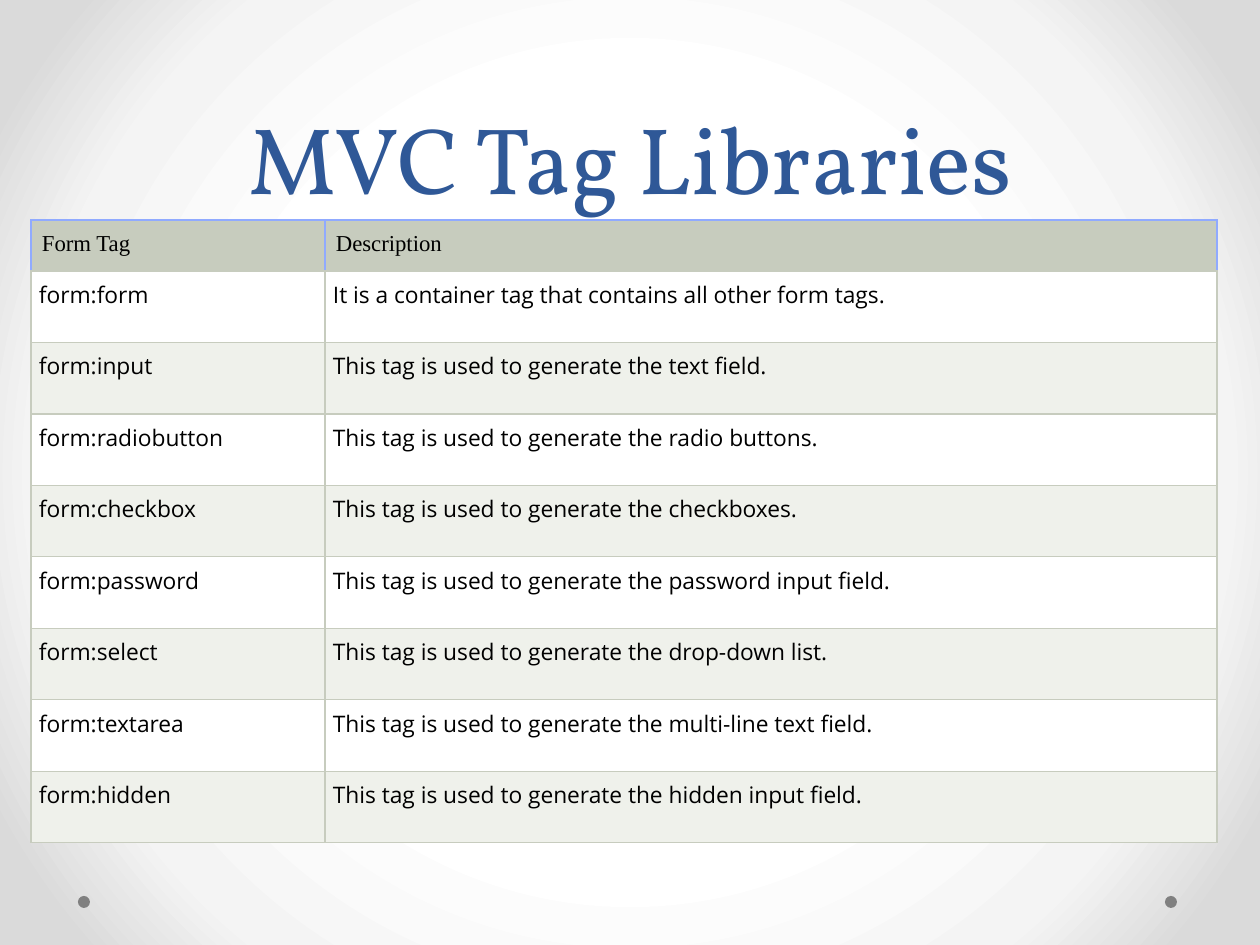
from lxml import etree
from pptx import Presentation
from pptx.dml.color import RGBColor
from pptx.enum.shapes import MSO_SHAPE
from pptx.enum.text import MSO_ANCHOR, PP_ALIGN
from pptx.oxml import parse_xml
from pptx.oxml.ns import qn
from pptx.util import Emu, Pt

ELLIPSE = MSO_SHAPE.OVAL
BOTTOM = MSO_ANCHOR.BOTTOM
CENTER = PP_ALIGN.CENTER
LEFT = PP_ALIGN.LEFT
NAMESPACE = 'xmlns:a="http://schemas.openxmlformats.org/drawingml/2006/main"'

TAGS = [
    ("form:form", "It is a container tag that contains all other form tags."),
    ("form:input", "This tag is used to generate the text field."),
    ("form:radiobutton", "This tag is used to generate the radio buttons."),
    ("form:checkbox", "This tag is used to generate the checkboxes."),
    ("form:password", "This tag is used to generate the password input field."),
    ("form:select", "This tag is used to generate the drop-down list."),
    ("form:textarea", "This tag is used to generate the multi-line text field."),
    ("form:hidden", "This tag is used to generate the hidden input field."),
]


def px(length):
    return Emu(round(length * 914400 / 126))


def color(value):
    return RGBColor.from_string(value)


def write(frame, text, font, size, fill="000000", align=LEFT, spacing=None):
    frame.word_wrap = True
    paragraph = frame.paragraphs[0]
    paragraph.alignment = align
    if spacing:
        paragraph.line_spacing = Pt(spacing)
    run = paragraph.add_run()
    run.text = text
    run.font.name = font
    run.font.size = Pt(size)
    run.font.color.rgb = color(fill)


class TagSlide:
    """Holds the style and the current slide, and draws each kind of element."""

    title_color = "2F5897"
    dot_color = "808080"
    rule_color = "C7CCBE"
    accent_color = "90AAFF"
    band_colors = ("FFFFFF", "EFF1EB")
    title_font = "Vollkorn"
    header_font = "Times New Roman"
    body_font = "Open Sans"
    table_size = 13

    def __init__(self, presentation):
        self.slide = presentation.slides.add_slide(presentation.slide_layouts[6])

    def background(self, stops):
        self.slide.background.fill.solid()
        solid = self.slide.element.find(".//" + qn("a:solidFill"))
        stop_xml = "".join(
            f'<a:gs pos="{position * 1000}"><a:srgbClr val="{value}"/></a:gs>'
            for position, value in stops
        )
        gradient = parse_xml(
            f'<a:gradFill {NAMESPACE} rotWithShape="1"><a:gsLst>{stop_xml}</a:gsLst>'
            '<a:path path="circle"><a:fillToRect l="50000" t="50000" r="50000" b="50000"/>'
            "</a:path></a:gradFill>"
        )
        solid.getparent().replace(solid, gradient)

    def dot(self, left, top, size):
        shape = self.slide.shapes.add_shape(ELLIPSE, px(left), px(top), px(size), px(size))
        shape.shadow.inherit = False
        shape.fill.solid()
        shape.fill.fore_color.rgb = color(self.dot_color)
        shape.line.fill.background()

    def title(self, text, left, top, width, height):
        shape = self.slide.shapes.add_textbox(px(left), px(top), px(width), px(height))
        shape.text_frame.vertical_anchor = BOTTOM
        write(shape.text_frame, text, self.title_font, 54,
              fill=self.title_color, align=CENTER, spacing=58)

    def borders(self, cell, header):
        properties = cell._tc.get_or_add_tcPr()
        for side in "LRTB":
            value = self.accent_color if header and side != "B" else self.rule_color
            line = etree.SubElement(properties, qn(f"a:ln{side}"), w=str(Pt(0.75)))
            fill = etree.SubElement(line, qn("a:solidFill"))
            etree.SubElement(fill, qn("a:srgbClr"), val=value)

    def cell(self, cell, text, fill, header):
        inset = px(11 if header else 8)
        cell.margin_left = cell.margin_right = inset
        cell.margin_top = cell.margin_bottom = inset
        self.borders(cell, header)
        cell.fill.solid()
        cell.fill.fore_color.rgb = color(fill)
        font = self.header_font if header else self.body_font
        write(cell.text_frame, text, font, self.table_size)

    def table(self, rows, left, top, widths, header_height, body_height):
        frame = self.slide.shapes.add_table(
            len(rows), len(widths), px(left), px(top),
            px(sum(widths)), px(header_height + body_height))
        table = frame.table
        for column, width in zip(table.columns, widths):
            column.width = px(width)
        for index, texts in enumerate(rows):
            header = index == 0
            height = header_height if header else body_height / (len(rows) - 1)
            table.rows[index].height = px(height)
            fill = self.rule_color if header else self.band_colors[(index - 1) % 2]
            for column, text in enumerate(texts):
                self.cell(table.cell(index, column), text, fill, header)


def main():
    presentation = Presentation()
    presentation.slide_width = px(1260)
    presentation.slide_height = px(945)
    slide = TagSlide(presentation)
    slide.background([(50, "FFFFFF"), (76, "F4F4F4"), (92, "DADADA")])
    for left in (1165, 78):
        slide.dot(left, 896, 12)
    slide.title("MVC Tag Libraries", 63, 0, 1134, 220)
    slide.table([("Form Tag", "Description")] + TAGS, 31, 220, (294, 892), 51, 572)
    presentation.save("out.pptx")


if __name__ == "__main__":
    main()
